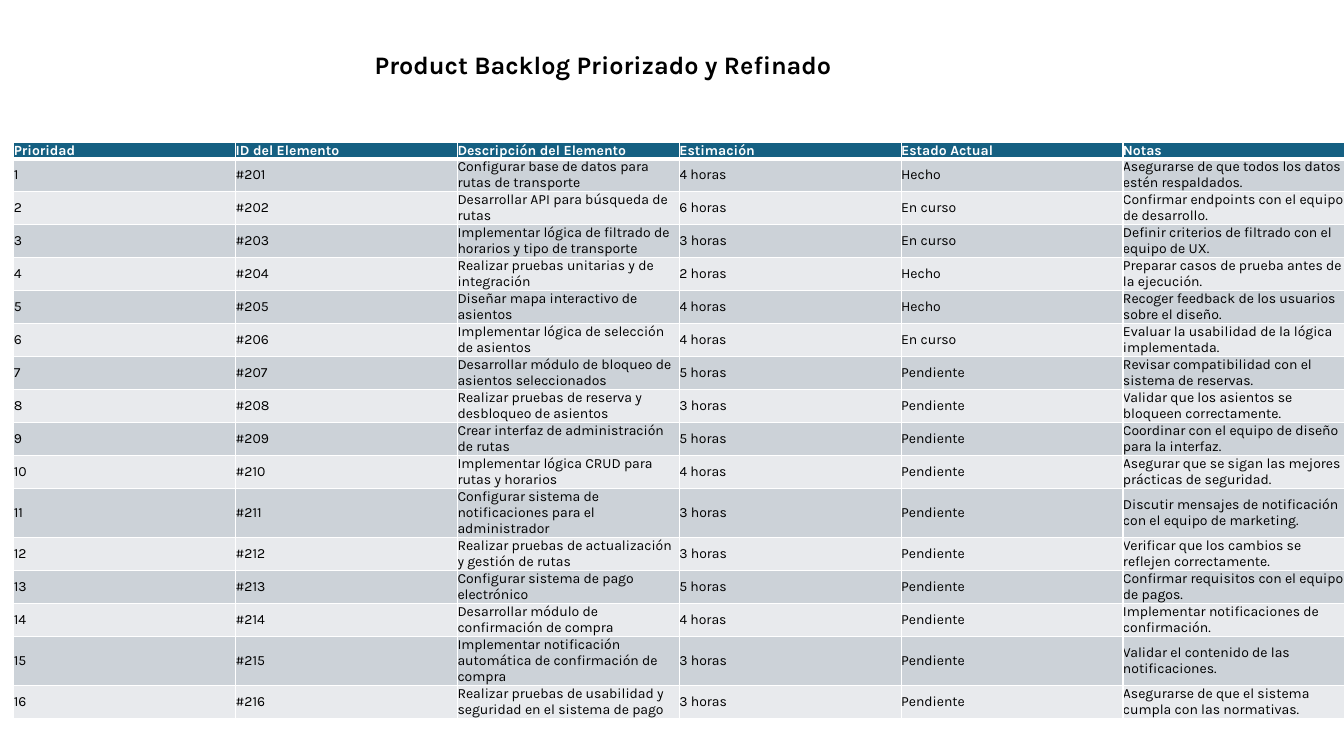
from dataclasses import dataclass

from lxml.etree import SubElement
from pptx import Presentation
from pptx.dml.color import RGBColor
from pptx.enum.text import MSO_ANCHOR, PP_ALIGN
from pptx.oxml.ns import qn
from pptx.util import Cm, Pt


@dataclass(frozen=True)
class Theme:
    font: str = "Karla"
    title_size: int = 18
    table_size: int = 10
    text: str = "000000"
    header_text: str = "FFFFFF"
    header_fill: str = "156082"
    bands: tuple = ("CCD2D8", "E8EAED")
    border: str = "FFFFFF"
    border_width: int = 1
    header_border_width: int = 3


THEME = Theme()
TITLE = "Product Backlog Priorizado y Refinado"
HEADERS = ("Prioridad", "ID del Elemento", "Descripción del Elemento",
           "Estimación", "Estado Actual", "Notas")
FIRST_ID = 201
HEADER_HEIGHT, ROW_HEIGHT, TALL_ROW_HEIGHT = 0.42, 0.83, 1.24
TALL_PRIORITIES = (11, 15)  # descriptions that take three lines

# Description, hours, status, notes; in order of priority
BACKLOG = (
    ("Configurar base de datos para rutas de transporte", 4, "Hecho",
     "Asegurarse de que todos los datos estén respaldados."),
    ("Desarrollar API para búsqueda de rutas", 6, "En curso",
     "Confirmar endpoints con el equipo de desarrollo."),
    ("Implementar lógica de filtrado de horarios y tipo de transporte", 3, "En curso",
     "Definir criterios de filtrado con el equipo de UX."),
    ("Realizar pruebas unitarias y de integración", 2, "Hecho",
     "Preparar casos de prueba antes de la ejecución."),
    ("Diseñar mapa interactivo de asientos", 4, "Hecho",
     "Recoger feedback de los usuarios sobre el diseño."),
    ("Implementar lógica de selección de asientos", 4, "En curso",
     "Evaluar la usabilidad de la lógica implementada."),
    ("Desarrollar módulo de bloqueo de asientos seleccionados", 5, "Pendiente",
     "Revisar compatibilidad con el sistema de reservas."),
    ("Realizar pruebas de reserva y desbloqueo de asientos", 3, "Pendiente",
     "Validar que los asientos se bloqueen correctamente."),
    ("Crear interfaz de administración de rutas", 5, "Pendiente",
     "Coordinar con el equipo de diseño para la interfaz."),
    ("Implementar lógica CRUD para rutas y horarios", 4, "Pendiente",
     "Asegurar que se sigan las mejores prácticas de seguridad."),
    ("Configurar sistema de notificaciones para el administrador", 3, "Pendiente",
     "Discutir mensajes de notificación con el equipo de marketing."),
    ("Realizar pruebas de actualización y gestión de rutas", 3, "Pendiente",
     "Verificar que los cambios se reflejen correctamente."),
    ("Configurar sistema de pago electrónico", 5, "Pendiente",
     "Confirmar requisitos con el equipo de pagos."),
    ("Desarrollar módulo de confirmación de compra", 4, "Pendiente",
     "Implementar notificaciones de confirmación."),
    ("Implementar notificación automática de confirmación de compra", 3, "Pendiente",
     "Validar el contenido de las notificaciones."),
    ("Realizar pruebas de usabilidad y seguridad en el sistema de pago", 3, "Pendiente",
     "Asegurarse de que el sistema cumpla con las normativas."),
)


def set_font(p, size, color, bold):
    p.font.name = THEME.font
    p.font.size = Pt(size)
    p.font.bold = bold
    p.font.color.rgb = RGBColor.from_string(color)


def set_borders(cell, top, bottom):
    """Draw the four cell borders; they must precede the fill in the XML."""
    tcPr = cell._tc.get_or_add_tcPr()
    side = THEME.border_width
    widths = (("a:lnL", side), ("a:lnR", side), ("a:lnT", top), ("a:lnB", bottom))
    for i, (tag, width) in enumerate(widths):
        ln = SubElement(tcPr, qn(tag), w=str(Pt(width)))
        fill = SubElement(ln, qn("a:solidFill"))
        SubElement(fill, qn("a:srgbClr"), val=THEME.border)
        tcPr.insert(i, ln)


def fill_cell(cell, text, row):
    header = row == 0
    cell.margin_left = cell.margin_right = cell.margin_top = cell.margin_bottom = 0
    cell.vertical_anchor = MSO_ANCHOR.MIDDLE
    cell.fill.solid()
    color = THEME.header_fill if header else THEME.bands[(row - 1) % 2]
    cell.fill.fore_color.rgb = RGBColor.from_string(color)
    thin, thick = THEME.border_width, THEME.header_border_width
    set_borders(cell, thick if row == 1 else thin, thick if header else thin)
    p = cell.text_frame.paragraphs[0]
    p.text = text
    set_font(p, THEME.table_size, THEME.header_text if header else THEME.text, header)


def add_title(s, left, top, width, height):
    tf = s.shapes.add_textbox(Cm(left), Cm(top), Cm(width), Cm(height)).text_frame
    tf.word_wrap = True
    p = tf.paragraphs[0]
    p.text = TITLE
    p.alignment = PP_ALIGN.CENTER
    set_font(p, THEME.title_size, THEME.text, True)


def add_backlog(s, left, top, width):
    rows = [HEADERS]
    heights = [HEADER_HEIGHT]
    for priority, (description, hours, status, notes) in enumerate(BACKLOG, 1):
        rows.append((str(priority), f"#{FIRST_ID + priority - 1}", description,
                     f"{hours} horas", status, notes))
        heights.append(TALL_ROW_HEIGHT if priority in TALL_PRIORITIES else ROW_HEIGHT)

    table = s.shapes.add_table(len(rows), len(HEADERS), Cm(left), Cm(top),
                               Cm(width), Cm(sum(heights))).table
    for row, (texts, height) in enumerate(zip(rows, heights)):
        table.rows[row].height = Cm(height)
        for column, text in enumerate(texts):
            fill_cell(table.cell(row, column), text, row)


def main():
    prs = Presentation()
    prs.slide_width, prs.slide_height = Cm(33.87), Cm(19.05)
    s = prs.slides.add_slide(prs.slide_layouts[6])
    add_backlog(s, left=0.35, top=3.58, width=33.54)
    add_title(s, left=6.73, top=1.12, width=16.94, height=1.02)
    prs.save("out.pptx")


if __name__ == "__main__":
    main()
